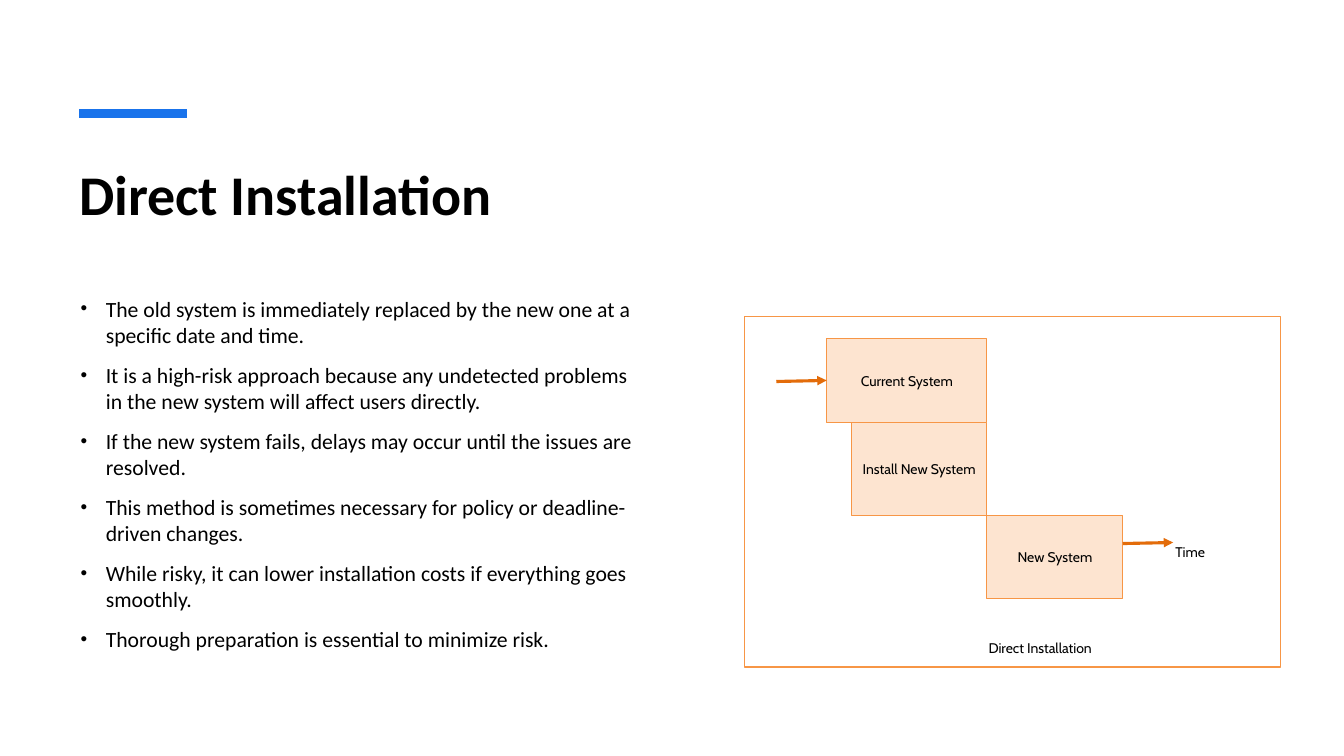
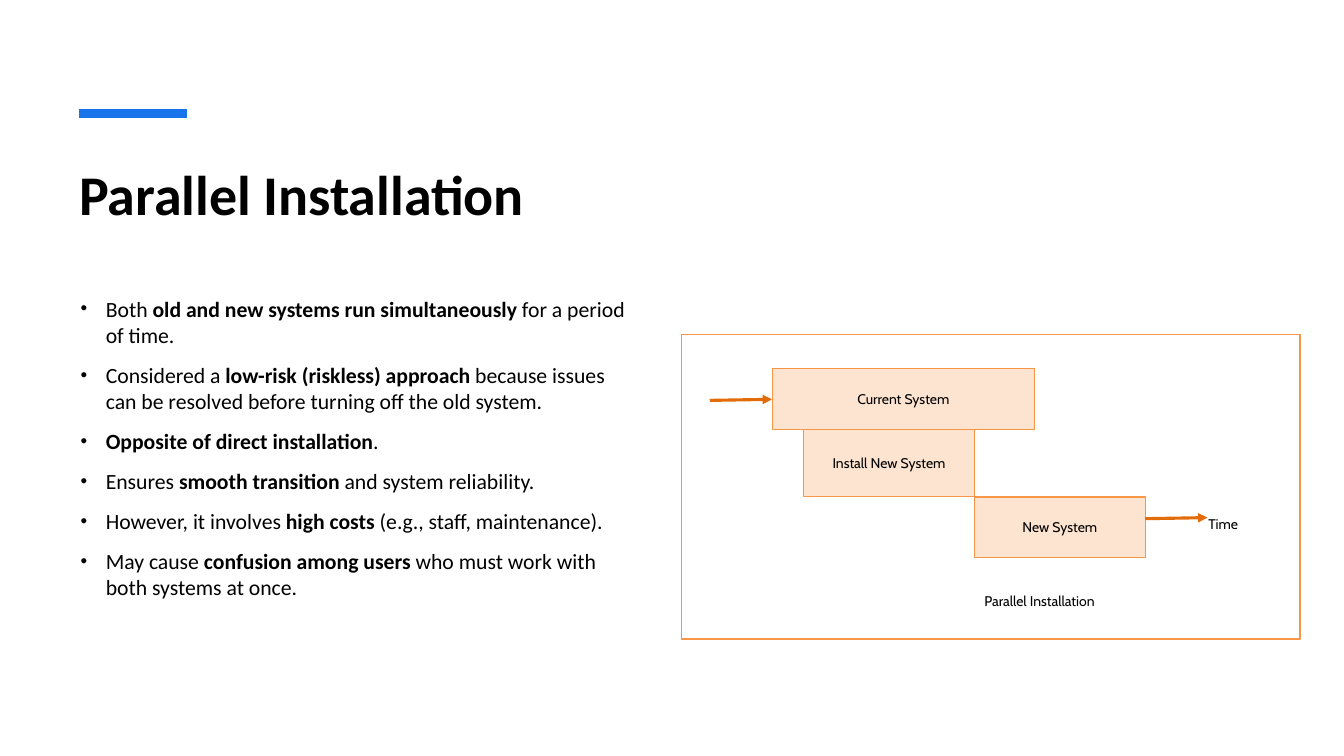
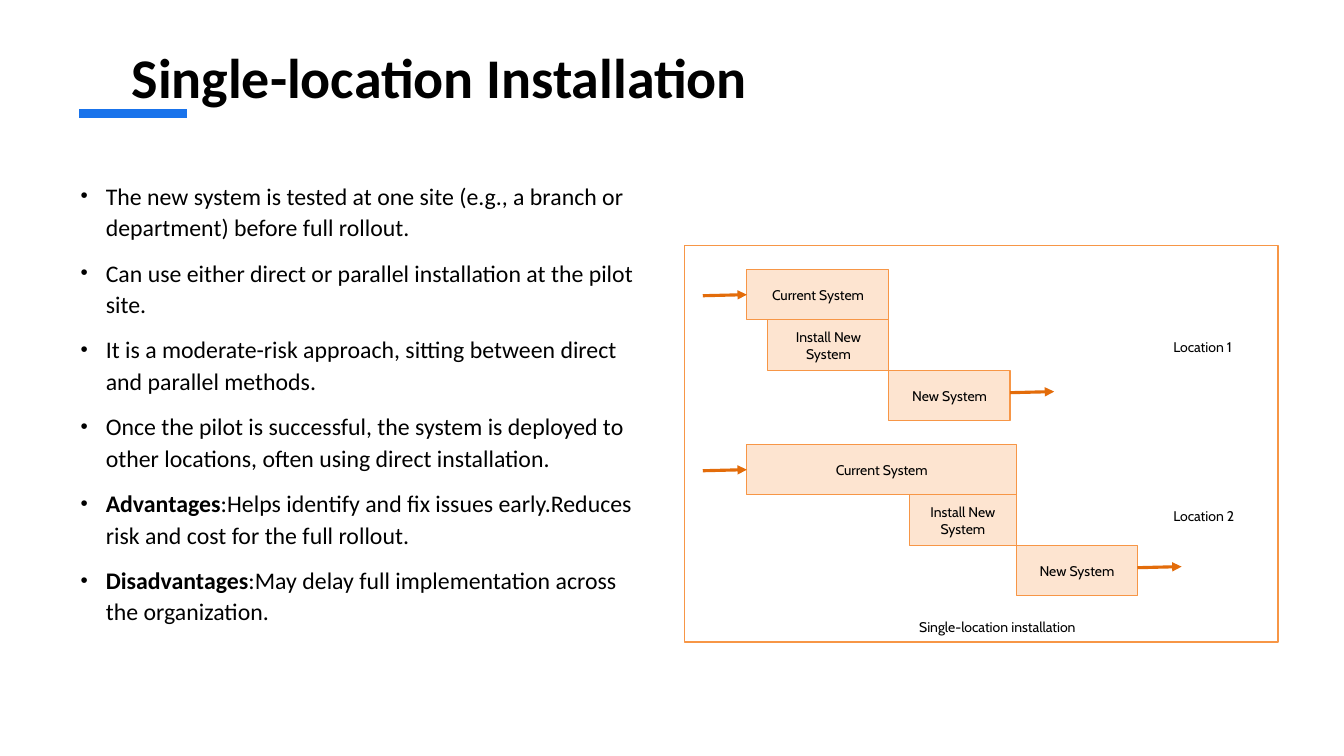
from lxml.etree import SubElement
from pptx import Presentation
from pptx.dml.color import RGBColor as RGB
from pptx.enum.shapes import MSO_CONNECTOR as LINE, MSO_SHAPE as SHAPE
from pptx.enum.text import MSO_ANCHOR as ANCHOR, MSO_AUTO_SIZE as AUTO, PP_ALIGN as ALIGN
from pptx.oxml.ns import qn
from pptx.util import Pt

BLACK = RGB(0, 0, 0)
BLUE = RGB(0x19, 0x73, 0xEB)
PEACH = RGB(0xFD, 0xE4, 0xD0)
ORANGE = RGB(0xF7, 0x96, 0x46)
RUST = RGB(0xE3, 0x6C, 0x0A)
TEXT_FONT, CHART_FONT = "Calibri", "Cabin"
STEPS = ("Current System", "Install New System", "New System")

DIRECT = (
    "The old system is immediately replaced by the new one at a specific date and time.",
    "It is a high-risk approach because any undetected problems in the new system will affect users directly.",
    "If the new system fails, delays may occur until the issues are resolved.",
    "This method is sometimes necessary for policy or deadline-driven changes.",
    "While risky, it can lower installation costs if everything goes smoothly.",
    "Thorough preparation is essential to minimize risk.",
)
PARALLEL = (
    "Both **old and new systems run simultaneously** for a period of time.",
    "Considered a **low-risk (riskless) approach** because issues can be resolved before turning off the old system.",
    "**Opposite of direct installation**.",
    "Ensures **smooth transition** and system reliability.",
    "However, it involves **high costs** (e.g., staff, maintenance).",
    "May cause **confusion among users** who must work with both systems at once.",
)
SINGLE = (
    "The new system is tested at one site (e.g., a branch or department) before full rollout.",
    "Can use either direct or parallel installation at the pilot site.",
    "It is a moderate-risk approach, sitting between direct and parallel methods.",
    "Once the pilot is successful, the system is deployed to other locations, often using direct installation.",
    "**Advantages**:Helps identify and fix issues early.Reduces risk and cost for the full rollout.",
    "**Disadvantages**:May delay full implementation across the organization.",
)


def style(font, name, size, bold=False):
    font.name, font.size, font.bold = name, Pt(size), bold
    font.color.rgb = BLACK


def add_line(slide, x1, y1, x2, y2, color, width):
    line = slide.shapes.add_connector(LINE.STRAIGHT, Pt(x1), Pt(y1), Pt(x2), Pt(y2))
    line.line.color.rgb = color
    line.line.width = Pt(width)
    SubElement(line._element.spPr, qn("a:effectLst"))
    return line


def add_arrow(slide, x1, y1, x2, y2):
    arrow = add_line(slide, x1, y1, x2, y2, RUST, 2.25)
    SubElement(arrow.line._get_or_add_ln(), qn("a:tailEnd"), type="triangle")
    return arrow


def add_page(deck, title, left=50.5, top=108):
    """Add a slide with the blue accent line and a title."""
    slide = deck.slides.add_slide(deck.slide_layouts[5])
    add_line(slide, 56.5, 81, 133.5, 81, BLUE, 6)
    head = slide.shapes.title
    head.left, head.top, head.width, head.height = Pt(left), Pt(top), Pt(857.5), Pt(86.5)
    frame = head.text_frame
    frame.text = title
    frame.auto_size = AUTO.NONE
    frame.vertical_anchor = ANCHOR.TOP
    frame.margin_left = frame.margin_top = Pt(6)
    para = frame.paragraphs[0]
    para.alignment = ALIGN.LEFT
    style(para.runs[0].font, TEXT_FONT, 40, True)
    return slide


def add_list(slide, items, top=207.5, size=15.5, space=1.0):
    """Add a bulleted list; text between ** marks is bold."""
    box = slide.shapes.add_textbox(Pt(50.5), Pt(top), Pt(410.5), Pt(488 - top))
    frame = box.text_frame
    frame.word_wrap = True
    for i, item in enumerate(items):
        para = frame.paragraphs[0] if i == 0 else frame.add_paragraph()
        props = para._p.get_or_add_pPr()
        props.set("marL", str(Pt(18)))
        props.set("indent", str(-Pt(18)))
        SubElement(props, qn("a:buSzPct"), val="87000")
        SubElement(props, qn("a:buFont"), typeface="Arial")
        SubElement(props, qn("a:buChar"), char="•")
        para.line_spacing = space
        para.space_before = Pt(10 if i else 0)
        for j, part in enumerate(item.split("**")):
            if part:
                run = para.add_run()
                run.text = part
                style(run.font, TEXT_FONT, size, j % 2 == 1)


def add_label(slide, text, x, y, w, h, wrap=True):
    frame = slide.shapes.add_textbox(Pt(x), Pt(y), Pt(w), Pt(h)).text_frame
    frame.text = text
    frame.word_wrap = wrap
    frame.vertical_anchor = ANCHOR.MIDDLE
    style(frame.paragraphs[0].runs[0].font, CHART_FONT, 10)


def add_rect(slide, x, y, w, h, width):
    rect = slide.shapes.add_shape(SHAPE.RECTANGLE, Pt(x), Pt(y), Pt(w), Pt(h))
    rect.shadow.inherit = False
    rect.line.color.rgb = ORANGE
    rect.line.width = Pt(width)
    return rect


def add_step(slide, text, x, y, w, h):
    step = add_rect(slide, x, y, w, h, 0.75)
    step.fill.solid()
    step.fill.fore_color.rgb = PEACH
    frame = step.text_frame
    frame.text = text
    frame.word_wrap = True
    frame.vertical_anchor = ANCHOR.MIDDLE
    para = frame.paragraphs[0]
    para.alignment = ALIGN.CENTER
    style(para.runs[0].font, CHART_FONT, 10)
    return step


def add_frame(slide, x, y, w, h):
    add_rect(slide, x, y, w, h, 1).fill.background()


def add_flow(slide, x, y, join, widths, heights, reach, lift):
    """Stack the three steps: install ends and new starts at join.

    reach is the arrow length, lift the height of the last arrow above mid-side.
    """
    lefts = (x, join - widths[1], join)
    tops = (y, y + heights[0], y + heights[0] + heights[1])
    boxes = [add_step(slide, *step) for step in zip(STEPS, lefts, tops, widths, heights)]
    mid = y + heights[0] / 2
    add_arrow(slide, x - reach, mid + 0.75, x, mid).end_connect(boxes[0], 1)
    end = join + widths[2]
    out = tops[2] + heights[2] / 2 - lift
    add_arrow(slide, end, out, end + reach, out - 0.75)


def main():
    deck = Presentation()
    deck.slide_width, deck.slide_height = Pt(960), Pt(540)

    slide = add_page(deck, "Direct Installation")
    add_list(slide, DIRECT)
    add_flow(slide, 590.5, 242, 705, (114.5, 97, 97), (59.5, 66.5, 59.5), 36, 9.5)
    add_label(slide, "Time", 832.5, 368, 41, 52, False)
    add_label(slide, "Direct Installation", 699, 436.5, 139.5, 52)
    add_frame(slide, 532, 226, 382.5, 250.5)

    slide = add_page(deck, "Parallel Installation")
    add_list(slide, PARALLEL)
    add_flow(slide, 551.5, 263.5, 696, (187.5, 122, 122), (43.5, 48, 43), 44.5, 6)
    add_label(slide, "Time", 856, 355.5, 51, 38, False)
    add_label(slide, "Parallel Installation", 696, 410.5, 175.5, 38)
    add_frame(slide, 487, 239, 441.5, 217.5)

    slide = add_page(deck, "Single-location Installation", 88, 24)
    add_list(slide, SINGLE, 124, 17, 1.1)
    sites = ((192.5, 635, (101.5, 86.5, 86.5), 232.5),
             (317.5, 726, (192.5, 76.5, 86.5), 353))
    for i, (top, join, widths, label) in enumerate(sites, 1):
        add_flow(slide, 533.5, top, join, widths, (36, 36, 36), 31.5, 2)
        add_label(slide, f"Location {i}", 831, label, 124, 31)
    add_label(slide, "Single-location installation", 649.5, 432.5, 157, 31)
    add_frame(slide, 489, 175.5, 424, 283)

    deck.save("out.pptx")


if __name__ == "__main__":
    main()
